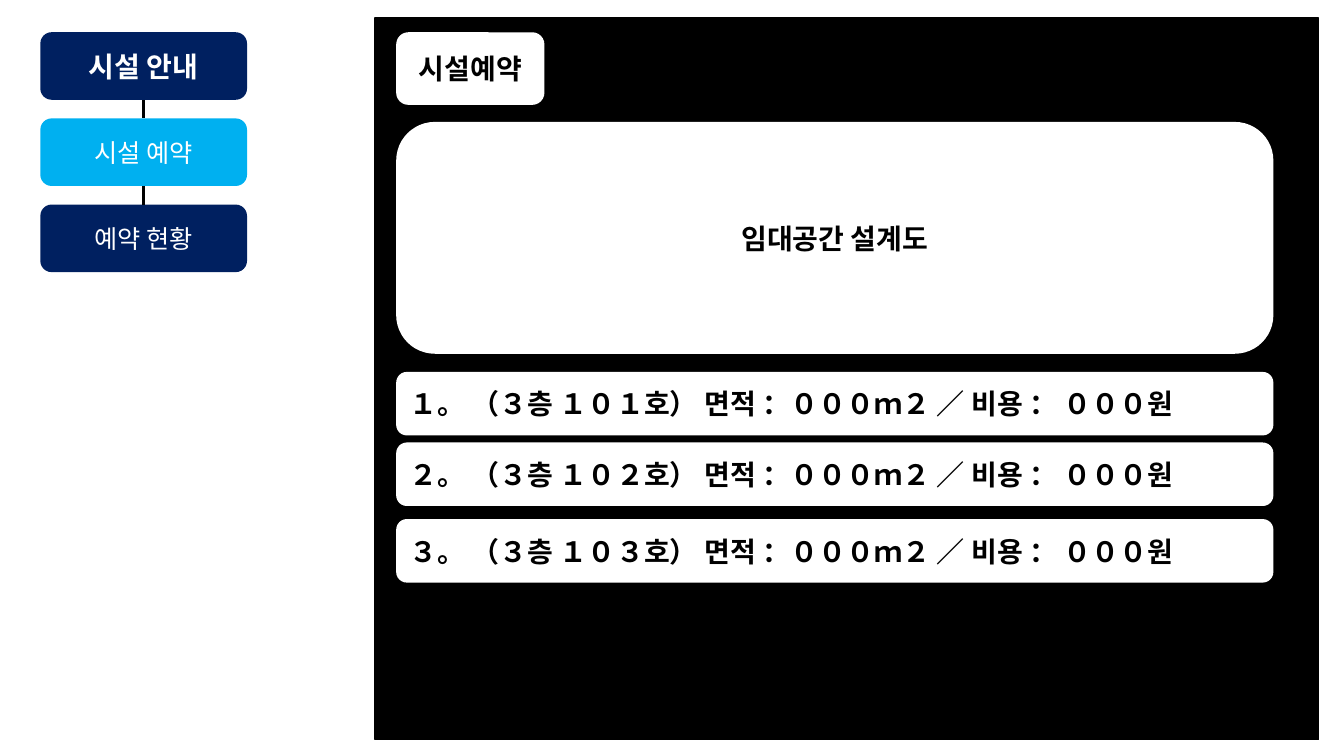
from lxml import etree
from pptx import Presentation
from pptx.dml.color import RGBColor
from pptx.enum.shapes import MSO_CONNECTOR, MSO_SHAPE
from pptx.enum.text import MSO_ANCHOR, PP_ALIGN
from pptx.oxml.ns import qn
from pptx.util import Inches, Pt

FONT = "Noto Sans CJK KR"
BLACK = RGBColor(0x00, 0x00, 0x00)
WHITE = RGBColor(0xFF, 0xFF, 0xFF)
NAVY = RGBColor(0x00, 0x20, 0x60)
SKY = RGBColor(0x00, 0xB0, 0xF0)
RECT, ROUND = MSO_SHAPE.RECTANGLE, MSO_SHAPE.ROUNDED_RECTANGLE
STRAIGHT = MSO_CONNECTOR.STRAIGHT
CENTER, JUSTIFY = PP_ALIGN.CENTER, PP_ALIGN.JUSTIFY
MIDDLE = MSO_ANCHOR.MIDDLE

prs = Presentation()
prs.slide_width, prs.slide_height = Inches(13.33), Inches(7.5)
s = prs.slides.add_slide(prs.slide_layouts[6])


def add_box(x, y, w, h, text, fill=WHITE, color=BLACK, size=20, bold=True, align=CENTER):
    sp = s.shapes.add_shape(ROUND, Inches(x), Inches(y), Inches(w), Inches(h))
    sp.shadow.inherit = False
    sp.fill.solid()
    sp.fill.fore_color.rgb = fill
    sp.line.fill.background()
    tf = sp.text_frame
    tf.word_wrap = True
    tf.vertical_anchor = MIDDLE
    p = tf.paragraphs[0]
    p.text = text
    p.alignment = align
    r = p.runs[0]
    r.font.size = Pt(size)
    r.font.bold = bold
    r.font.color.rgb = color
    r.font.name = FONT
    # Korean text takes the East Asian font
    etree.SubElement(r.font._element, qn("a:ea")).set("typeface", FONT)


# Black content panel
panel = s.shapes.add_shape(RECT, Inches(3.72), Inches(0.18), Inches(9.36), Inches(7.16))
panel.shadow.inherit = False
panel.fill.solid()
panel.fill.fore_color.rgb = BLACK
panel.line.color.rgb = BLACK
panel.line.width = Pt(1)

# Panel title and floor plan area
PANEL_X, PANEL_W = 3.93, 8.7
add_box(PANEL_X, 0.32, 1.47, 0.72, "시설예약")
add_box(PANEL_X, 1.21, PANEL_W, 2.3, "임대공간 설계도")

# Menu on the left, linked from top to bottom
MENU_X, MENU_Y, MENU_W, MENU_H, MENU_STEP = 0.4, 0.32, 2.05, 0.67, 0.855
menu = [("시설 안내", NAVY, 20, True), ("시설 예약", SKY, 18, False), ("예약 현황", NAVY, 18, False)]
for i, (label, fill, size, bold) in enumerate(menu):
    y = MENU_Y + i * MENU_STEP
    add_box(MENU_X, y, MENU_W, MENU_H, label, fill, WHITE, size, bold)
    if i:
        x = Inches(MENU_X + MENU_W / 2)
        link = s.shapes.add_connector(STRAIGHT, x, Inches(y - MENU_STEP + MENU_H), x, Inches(y))
        link.line.color.rgb = BLACK
        link.line.width = Pt(2.25)
        etree.SubElement(link._element.spPr, qn("a:effectLst"))

# Rooms for rent
for number, y in zip("１２３", (3.69, 4.39, 5.15)):
    text = f"{number}。 （３층 １０{number}호） 면적 ：０００ｍ２ ／ 비용 ： ０００원"
    add_box(PANEL_X, y, PANEL_W, 0.63, text, align=JUSTIFY)

prs.save("out.pptx")
